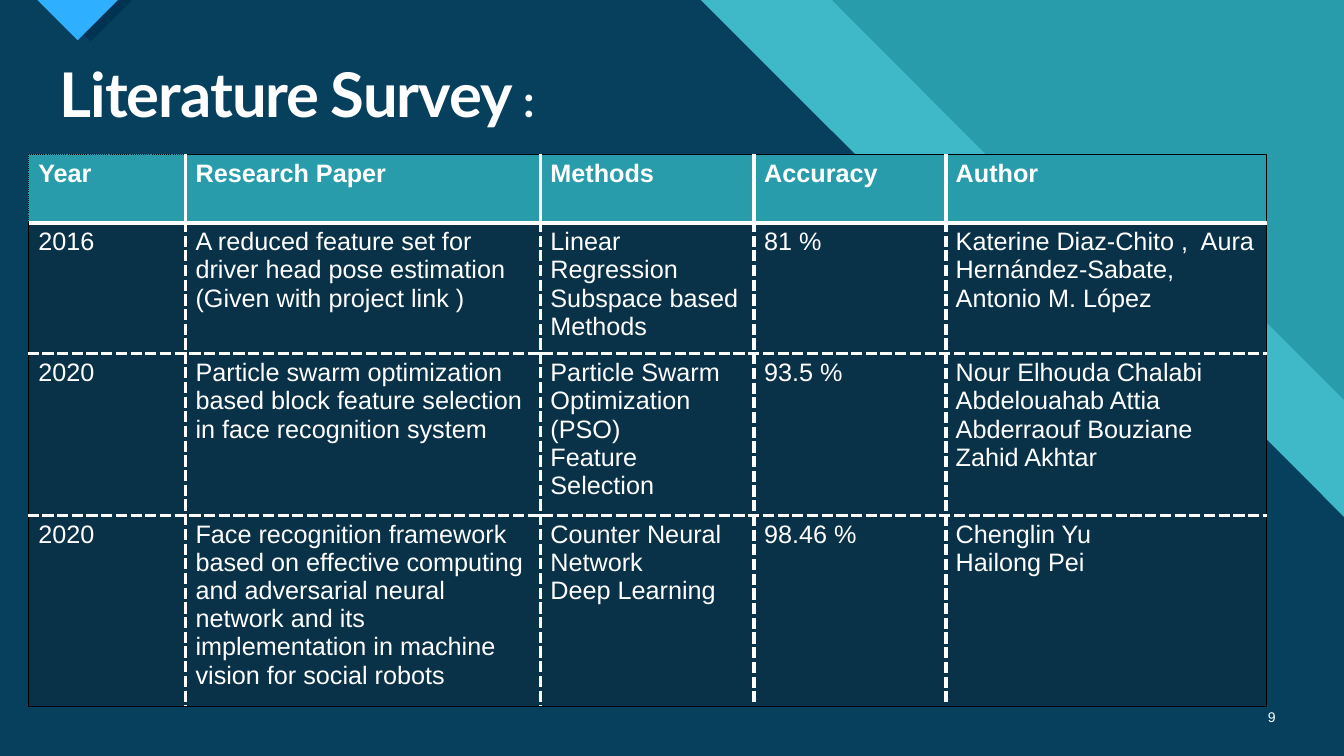
from lxml.etree import SubElement
from pptx import Presentation
from pptx.dml.color import RGBColor
from pptx.enum.text import MSO_ANCHOR as ANCHOR, PP_ALIGN as ALIGN
from pptx.oxml import parse_xml
from pptx.oxml.ns import nsdecls, qn
from pptx.util import Inches, Pt

WIDTH, HEIGHT = 13.33, 7.5
WHITE, BLACK, NAVY = "FFFFFF", "000000", "003352"
TEAL, AQUA, BLUE, CELL = "299CAB", "47C3D3", "2FAFFF", "093248"

BACKDROP = [
    # points, colour, opacity in percent
    ([(0, 0), (8.25, 0), (11.22, 2.98), (12.34, 2.98), (WIDTH, 3.97),
      (WIDTH, HEIGHT), (0, HEIGHT)], AQUA, 74),
    ([(0, 0), (6.95, 0), (9.92, 2.97), (11.18, 2.97), (WIDTH, 5.13),
      (WIDTH, HEIGHT), (0, HEIGHT)], NAVY, 90),
    ([(0.48, 0), (1.31, 0), (0.9, 0.41)], NAVY, 100),
    ([(0.37, 0), (1.17, 0), (0.77, 0.4)], BLUE, 100),
]

COLUMNS = [1.56, 3.52, 2.12, 1.9, 3.18]
ROWS = [0.68, 1.12, 1.12, 1.12]
SURVEY = [
    ["Year", "Research Paper", "Methods", "Accuracy", "Author"],
    ["2016",
     "A reduced feature set for driver head pose estimation\n"
     "(Given with project link )",
     "Linear Regression\nSubspace based Methods",
     "81 %",
     "Katerine Diaz-Chito ,  Aura Hernández-Sabate,  Antonio M. López"],
    ["2020",
     "Particle swarm optimization based block feature selection "
     "in face recognition system",
     "Particle Swarm Optimization (PSO)\nFeature Selection",
     "93.5 %",
     "Nour Elhouda Chalabi\nAbdelouahab Attia\n"
     "Abderraouf Bouziane\nZahid Akhtar"],
    ["2020",
     "Face recognition framework based on effective computing and "
     "adversarial neural network and its implementation in machine "
     "vision for social robots",
     "Counter Neural Network\nDeep Learning",
     "98.46 %",
     "Chenglin Yu\nHailong Pei"],
]


def paint(color_format, hex_color):
    """Set a colour format from a hex string."""
    color_format.rgb = RGBColor.from_string(hex_color)


def fill_solid(fill, hex_color):
    """Make a fill solid in one colour."""
    fill.solid()
    paint(fill.fore_color, hex_color)


def style_font(font, color=WHITE, **values):
    """Set font attributes and colour."""
    for name, value in values.items():
        setattr(font, name, value)
    paint(font.color, color)


def add_polygon(slide, points, color, opacity):
    """Draw a closed, borderless outline with a given opacity."""
    pts = [(Inches(x), Inches(y)) for x, y in points]
    builder = slide.shapes.build_freeform(*pts[0], scale=1.0)
    builder.add_line_segments(pts[1:], close=True)
    sp = builder.convert_to_shape()
    sp.shadow.inherit = False
    sp.line.fill.background()
    fill_solid(sp.fill, color)
    if opacity < 100:
        clr = next(sp.fill._xPr.iter(qn("a:srgbClr")))
        SubElement(clr, qn("a:alpha")).set("val", str(opacity * 1000))


def add_text(slide, box, runs, anchor=ANCHOR.TOP, spacing=0, **paragraph):
    """Add a one-paragraph text box; runs are (text, font values) pairs."""
    tf = slide.shapes.add_textbox(*map(Inches, box)).text_frame
    tf.word_wrap = True
    tf.vertical_anchor = anchor
    p = tf.paragraphs[0]
    for name, value in paragraph.items():
        setattr(p, name, value)
    for text, values in runs:
        r = p.add_run()
        r.text = text
        style_font(r.font, **values)
        if spacing:
            r.font._element.set("spc", str(round(spacing * 100)))


def vertical_border(row, edge):
    """Give colour, width and dash of the line left of column `edge`."""
    if edge in (0, len(COLUMNS)):
        return BLACK, 1, "sysDot" if row == edge == 0 else "solid"
    if row == 0:
        return WHITE, 3, "solid"
    return WHITE, 2.25 if row == 1 and edge < 3 else 3, "sysDash"


def horizontal_border(edge, col):
    """Give colour, width and dash of the line above row `edge`."""
    if edge in (0, len(ROWS)):
        return BLACK, 1, "sysDot" if edge == col == 0 else "solid"
    return (WHITE, 3, "solid") if edge == 1 else (WHITE, 2.25, "sysDash")


def set_borders(cell, row, col):
    """Draw the four lines around a cell."""
    borders = {
        "lnL": vertical_border(row, col),
        "lnR": vertical_border(row, col + 1),
        "lnT": horizontal_border(row, col),
        "lnB": horizontal_border(row + 1, col),
    }
    tc_pr = cell._tc.get_or_add_tcPr()
    for i, (tag, (color, width, dash)) in enumerate(borders.items()):
        tc_pr.insert(i, parse_xml(
            f'<a:{tag} {nsdecls("a")} w="{Pt(width)}">'
            f'<a:solidFill><a:srgbClr val="{color}"/></a:solidFill>'
            f'<a:prstDash val="{dash}"/></a:{tag}>'))


def add_survey_table(slide, left, top):
    """Add the table of research papers."""
    frame = slide.shapes.add_table(
        len(ROWS), len(COLUMNS), Inches(left), Inches(top),
        Inches(sum(COLUMNS)), Inches(sum(ROWS)))
    table = frame.table
    table.first_row = table.horz_banding = False
    for column, width in zip(table.columns, COLUMNS):
        column.width = Inches(width)
    for row, height in zip(table.rows, ROWS):
        row.height = Inches(height)
    for i, texts in enumerate(SURVEY):
        for j, text in enumerate(texts):
            cell = table.cell(i, j)
            cell.text = text
            for p in cell.text_frame.paragraphs:
                style_font(p.runs[0].font, name="Arial", size=Pt(18),
                           bold=i == 0)
            fill_solid(cell.fill, CELL if i else TEAL)
            set_borders(cell, i, j)


def main():
    """Build the slide and save it."""
    prs = Presentation()
    prs.slide_width, prs.slide_height = Inches(WIDTH), Inches(HEIGHT)
    slide = prs.slides.add_slide(prs.slide_layouts[6])
    fill_solid(slide.background.fill, TEAL)
    for points, color, opacity in BACKDROP:
        add_polygon(slide, points, color, opacity)

    large = {"name": "Lato", "size": Pt(44), "bold": True}
    small = {**large, "size": Pt(32)}
    add_text(slide, (0.49, 0.59, 12.26, 0.77),
             [("Literature", large), (" ", small),
              ("Survey", large), (" :", small)],
             spacing=-0.7, line_spacing=0.9)
    add_text(slide, (12.31, 6.91, 0.44, 0.4),
             [("9", {"name": "Arial", "size": Pt(10)})],
             anchor=ANCHOR.MIDDLE, alignment=ALIGN.RIGHT)
    add_survey_table(slide, 0.28, 1.53)
    prs.save("out.pptx")


main()
